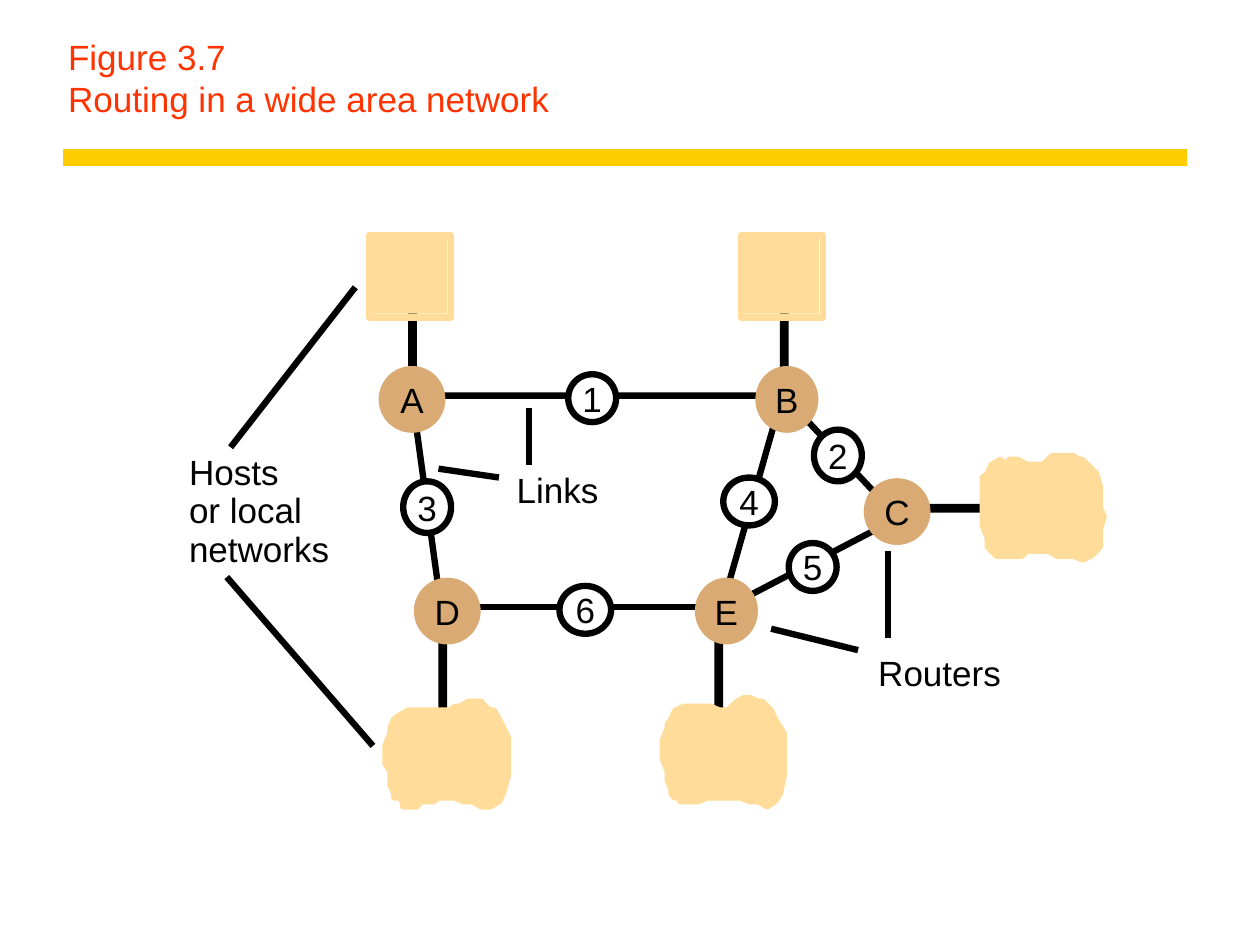
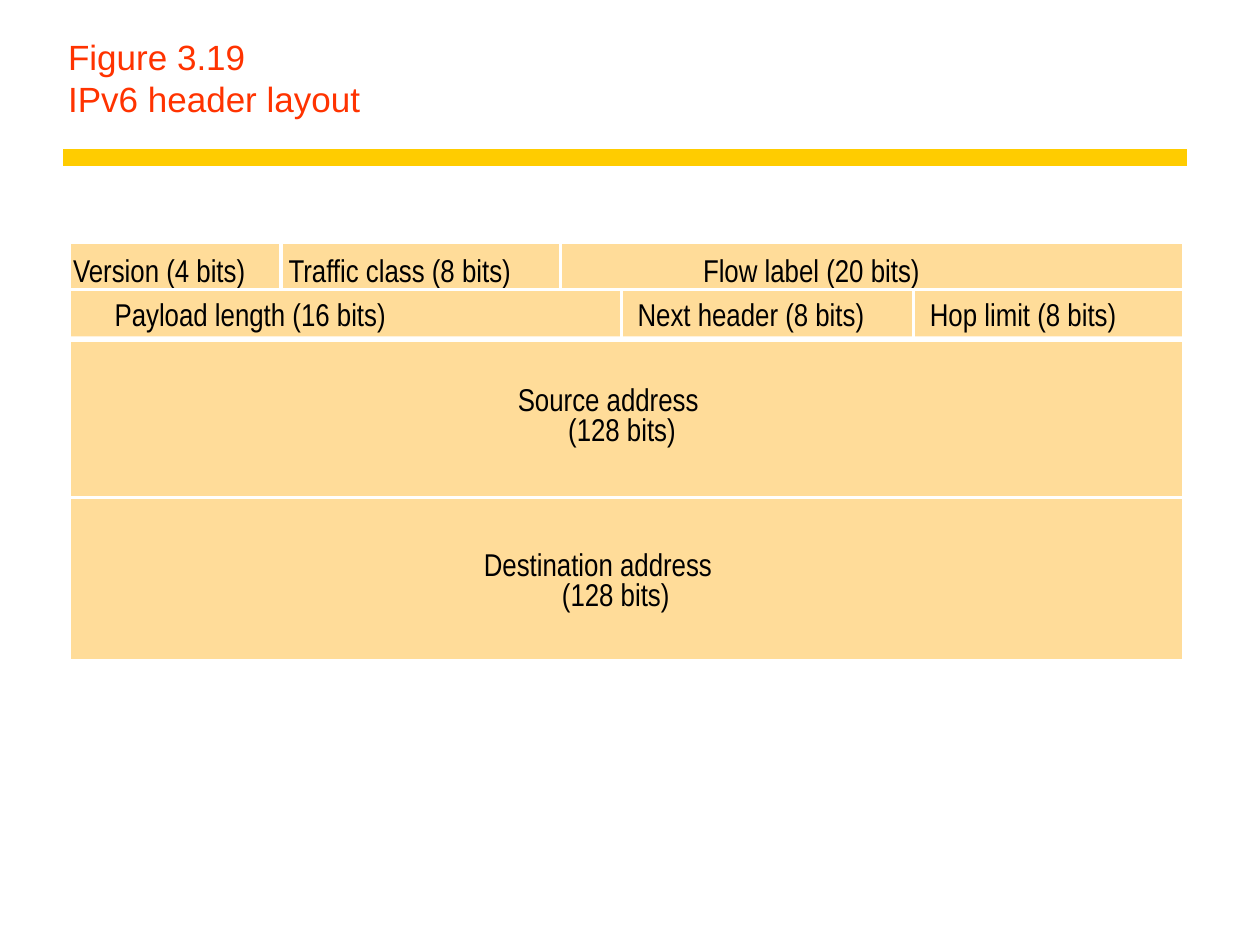
"""Build two network figures: wide area routing and the IPv6 header."""
import dataclasses

import lxml.etree
import pptx
import pptx.dml.color
import pptx.enum.shapes
import pptx.enum.text
import pptx.oxml.ns
import pptx.util

Inches = pptx.util.Inches
Pt = pptx.util.Pt
SHAPE = pptx.enum.shapes.MSO_SHAPE
ANCHOR = pptx.enum.text.MSO_ANCHOR
ALIGN = pptx.enum.text.PP_ALIGN


@dataclasses.dataclass(frozen=True)
class Theme:
    title: str = "FF3300"
    band: str = "FFCC00"
    ink: str = "000000"
    paper: str = "FFFFFF"
    router: str = "D9AA73"
    block: str = "FFDC99"
    font: str = "Arial"
    narrow_font: str = "Arial Narrow"
    text_size: float = 20
    narrow_size: float = 18
    band_width: float = 10
    link_width: float = 3.63
    rule_width: float = 1.87
    frame_excess: float = 0.03


class Figures:
    def __init__(self, theme):
        self.theme = theme
        self.deck = pptx.Presentation()
        self.deck.slide_width, self.deck.slide_height = Inches(10), Inches(7.5)
        self.layout = self.deck.slide_layouts[5]
        self.slide = None

    def start(self, number, caption):
        self.slide = self.deck.slides.add_slide(self.layout)
        if len(self.deck.slides) == 1:
            band = self.line((0.5, 1.25), (9.42, 1.25), self.theme.band, self.theme.band_width)
            self.layout.shapes._spTree.append(band._element)
        title = self.slide.shapes.title
        place = dict(left=0.44, top=0.25, width=8.97, height=0.75)
        for name, value in place.items():
            setattr(title, name, Inches(value))
        self.frame(title, (0.1, 0.05), vertical_anchor=ANCHOR.BOTTOM, word_wrap=True)
        heading = title.text_frame.paragraphs[0]
        heading.alignment = ALIGN.LEFT
        heading.add_run().text = number
        heading.add_line_break()
        heading.add_run().text = caption
        for run in heading.runs:
            self.style_font(run.font, self.theme.title)

    def style_font(self, font, color=None, **changes):
        values = dict(name=self.theme.font, size=Pt(self.theme.text_size), bold=False) | changes
        for name, value in values.items():
            setattr(font, name, value)
        font.color.rgb = self.rgb(color or self.theme.ink)

    def rgb(self, color):
        return pptx.dml.color.RGBColor.from_string(color)

    def frame(self, holder, inset=(0, 0), **changes):
        across, down = map(Inches, inset)
        values = dict(
            margin_left=across, margin_right=0, margin_top=down, margin_bottom=0,
            auto_size=pptx.enum.text.MSO_AUTO_SIZE.NONE,
            vertical_anchor=ANCHOR.TOP, word_wrap=False,
        )
        if holder.is_placeholder:
            values |= dict(margin_right=across, margin_bottom=down)
        for name, value in (values | changes).items():
            setattr(holder.text_frame, name, value)

    def set_text(self, holder, lines, align=ALIGN.LEFT, spacing=None, indent=0, **font):
        for index, line in enumerate(lines):
            body = holder.text_frame
            paragraph = body.add_paragraph() if index else body.paragraphs[0]
            paragraph.text = line
            paragraph.alignment = align
            if spacing:
                paragraph.line_spacing = Pt(spacing)
            if index and indent:
                paragraph._p.get_or_add_pPr().set("marL", str(Inches(indent)))
            self.style_font(paragraph.font, **font)

    def paint(self, shape, fill, line, width):
        shape.shadow.inherit = False
        if fill:
            shape.fill.solid()
            shape.fill.fore_color.rgb = self.rgb(fill)
        else:
            shape.fill.background()
        if line:
            shape.line.color.rgb = self.rgb(line)
            shape.line.width = Pt(width)
        else:
            shape.line.fill.background()
        return shape

    def shape(self, kind, place, fill=None, line=None, width=None):
        drawn = self.slide.shapes.add_shape(kind, *map(Inches, place))
        return self.paint(drawn, fill, line, width or self.theme.link_width)

    def line(self, start, end, color=None, width=None):
        drawn = self.slide.shapes.add_connector(
            pptx.enum.shapes.MSO_CONNECTOR.STRAIGHT, *map(Inches, start + end))
        drawn.line.color.rgb = self.rgb(color or self.theme.ink)
        drawn.line.width = Pt(width or self.theme.link_width)
        lxml.etree.SubElement(drawn._element.spPr, pptx.oxml.ns.qn("a:effectLst"))
        return drawn

    def outline(self, points, fill=None, line=None, close=True):
        builder = self.slide.shapes.build_freeform(*points[0], scale=Inches(0.01))
        builder.add_line_segments(points[1:], close=close)
        self.paint(builder.convert_to_shape(), fill, line, self.theme.link_width)

    def node(self, text, place, fill, line):
        circle = self.shape(SHAPE.OVAL, place, fill, line)
        self.frame(circle, vertical_anchor=ANCHOR.MIDDLE)
        self.set_text(circle, [text], ALIGN.CENTER)

    def label(self, lines, place, spacing=None):
        box = self.slide.shapes.add_textbox(*map(Inches, place))
        self.frame(box)
        self.set_text(box, lines, spacing=spacing)

    def framed_block(self, place, line, width=None):
        left, top, across, down = place
        excess = self.theme.frame_excess
        block = self.shape(SHAPE.RECTANGLE, place, self.theme.block)
        self.shape(SHAPE.RECTANGLE, (left, top, across + excess, down + excess), None, line, width)
        return block

    def field(self, lines, place, inset, indent=0):
        block = self.framed_block(place, self.theme.paper, self.theme.rule_width)
        self.frame(block, inset, word_wrap=True)
        self.set_text(block, lines, spacing=17.5 if len(lines) > 1 else None, indent=indent,
                      name=self.theme.narrow_font, size=Pt(self.theme.narrow_size))


NETWORK_D = [
    (310, 578), (313, 571), (317, 568), (324, 564), (358, 564), (361, 561), (365, 561),
    (372, 557), (382, 557), (385, 561), (389, 564), (392, 564), (396, 571), (403, 585),
    (403, 616), (399, 630), (396, 636), (389, 640), (382, 640), (375, 636), (368, 636),
    (361, 633), (348, 633), (344, 636), (334, 636), (331, 640), (320, 640), (320, 636),
    (317, 633), (313, 633), (313, 630), (310, 623), (310, 612), (306, 606), (306, 592),
    (310, 582),
]
NETWORK_C = [
    (780, 379), (784, 376), (787, 369), (794, 365), (798, 369), (801, 365), (808, 365),
    (815, 369), (828, 369), (832, 365), (835, 362), (852, 362), (856, 365), (859, 365),
    (863, 369), (870, 376), (873, 386), (873, 403), (876, 410), (873, 420), (873, 434),
    (866, 441), (859, 444), (852, 441), (839, 441), (832, 437), (815, 437), (811, 441),
    (791, 441), (787, 437), (784, 434), (784, 427), (780, 417),
]
NETWORK_E = [
    (530, 575), (533, 571), (536, 564), (543, 561), (564, 561), (571, 564), (578, 564),
    (581, 561), (585, 557), (591, 554), (595, 554), (602, 557), (605, 557), (609, 561),
    (612, 564), (615, 571), (622, 582), (622, 616), (619, 630), (615, 636), (609, 640),
    (602, 636), (595, 636), (588, 633), (561, 633), (554, 636), (540, 636), (540, 633),
    (536, 633), (533, 630), (533, 626), (530, 619), (530, 612), (526, 602), (526, 588),
    (530, 578),
]


def draw_routing(figures):
    theme = figures.theme
    figures.start("Figure 3.7", "Routing in a wide area network")

    figures.line((3.51, 4.89), (3.27, 3.14))
    figures.outline([(324, 314), (622, 314), (712, 410)], line=theme.ink, close=False)
    for start, end in [
        ((3.48, 4.82), (5.74, 4.82)),
        ((6.22, 3.1), (5.71, 4.89)),
        ((5.71, 4.85), (7.15, 4.1)),
    ]:
        figures.line(start, end)

    for stub in [
        (3.48, 4.85, 0.07, 1.06), (5.67, 4.82, 0.07, 1), (3.24, 2.42, 0.07, 0.62),
        (6.19, 2.28, 0.07, 0.79), (7.12, 4, 0.76, 0.07),
    ]:
        figures.shape(SHAPE.RECTANGLE, stub, theme.ink)

    for start, end in [
        ((1.83, 3.55), (2.82, 2.28)), ((1.8, 4.58), (2.96, 5.92)),
        ((6.81, 5.16), (6.12, 4.99)), ((7.05, 5.06), (7.05, 4.37)),
        ((3.96, 3.79), (3.48, 3.72)), ((4.2, 3.69), (4.2, 3.24)),
    ]:
        figures.line(start, end)

    for host_left in (2.93, 5.88):
        figures.framed_block((host_left, 1.87, 0.62, 0.62), theme.block)
    for network in (NETWORK_D, NETWORK_C, NETWORK_E):
        figures.outline(network, theme.block, theme.block)

    for router, left, top, width in [
        ("A", 3.03, 2.93, 0.48), ("B", 6.02, 2.93, 0.45), ("C", 6.88, 3.82, 0.48),
        ("D", 3.31, 4.61, 0.48), ("E", 5.54, 4.61, 0.45),
    ]:
        figures.node(router, (left, top, width, 0.48), theme.router, theme.router)
    for link, left, top, width, height in [
        ("1", 4.51, 2.97, 0.38, 0.38), ("2", 6.46, 3.41, 0.38, 0.41),
        ("3", 3.2, 3.82, 0.38, 0.41), ("4", 5.74, 3.79, 0.41, 0.38),
        ("5", 6.26, 4.31, 0.38, 0.38), ("6", 4.44, 4.65, 0.41, 0.38),
    ]:
        figures.node(link, (left, top, width, height), theme.paper, theme.ink)

    figures.label(["Hosts", "or local", "networks"], (1.5, 3.6, 1.11, 0.93), spacing=22)
    figures.label(["Links"], (4.1, 3.72, 0.65, 0.33))
    figures.label(["Routers"], (6.97, 5.17, 0.98, 0.33))


def draw_header(figures):
    figures.start("Figure 3.19", "IPv6 header layout")
    left, full_width, address_height = 0.55, 8.83, 1.28
    figures.field(["Source address", "(128 bits)"],
                  (left, 2.67, full_width, address_height), (3.56, 0.4), indent=0.4)
    figures.field(["Destination address", "(128 bits)"],
                  (left, 3.95, full_width, address_height), (3.29, 0.43), indent=0.62)
    for text, field_left, top, width, inset in [
        ("Flow label (20 bits)", 3.91, 1.92, 5.47, (1.67, 0.07)),
        ("Version (4 bits)", left, 1.92, 1.68, (0.03, 0.07)),
        ("Traffic class (8 bits)", 2.23, 1.92, 2.19, (0.06, 0.07)),
        ("Payload length (16 bits)", left, 2.3, 4.37, (0.36, 0.04)),
        ("Next header (8 bits)", 4.93, 2.3, 2.32, (0.13, 0.04)),
        ("Hop limit (8 bits)", 7.25, 2.3, 2.13, (0.13, 0.04)),
    ]:
        figures.field([text], (field_left, top, width, 0.37), inset)


def main():
    figures = Figures(Theme())
    draw_routing(figures)
    draw_header(figures)
    figures.deck.save("out.pptx")


if __name__ == "__main__":
    main()
